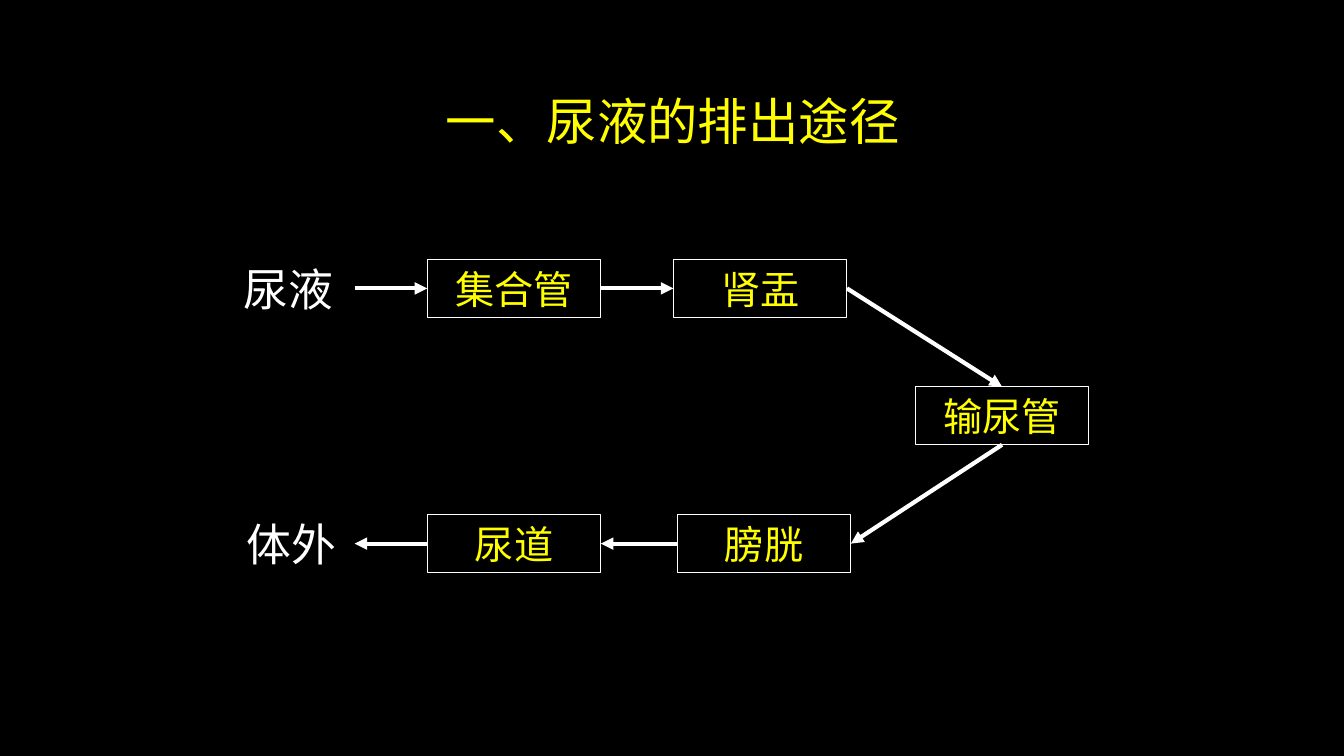
from lxml import etree
from pptx import Presentation
from pptx.dml.color import RGBColor
from pptx.enum.shapes import MSO_CONNECTOR, MSO_SHAPE
from pptx.enum.text import MSO_ANCHOR, MSO_AUTO_SIZE, PP_ALIGN
from pptx.oxml.ns import qn
from pptx.util import Pt

COLORS = {"background": "000000", "yellow": "FFFF00", "white": "FFFFFF"}
FONT = "Noto Sans CJK SC"
FRAME_FORMAT = {
    "word_wrap": True,
    "auto_size": MSO_AUTO_SIZE.NONE,
    "vertical_anchor": MSO_ANCHOR.MIDDLE,
}


def color(name):
    return RGBColor.from_string(COLORS[name])


def write(shape, wording, size, color_name):
    frame = shape.text_frame
    for attribute, value in FRAME_FORMAT.items():
        setattr(frame, attribute, value)
    paragraph = frame.paragraphs[0]
    paragraph.alignment = PP_ALIGN.CENTER
    run = paragraph.add_run()
    run.text = wording
    for attribute, value in {"name": FONT, "size": Pt(size)}.items():
        setattr(run.font, attribute, value)
    run.font.color.rgb = color(color_name)
    east_asian = etree.SubElement(run.font._element, qn("a:ea"))
    east_asian.set("typeface", FONT)


presentation = Presentation()
presentation.slide_width = Pt(960)
presentation.slide_height = Pt(540)
slide = presentation.slides.add_slide(presentation.slide_layouts[6])
slide.background.fill.solid()
slide.background.fill.fore_color.rgb = color("background")
shapes = slide.shapes

title = shapes.add_textbox(Pt(150), Pt(52), Pt(661), Pt(68))
write(title, "一、尿液的排出途径", 36, "yellow")

upper, middle, lower = 206, 297, 388.3
organ_width, organ_height = 124, 41.4
duct, pelvis, ureter, bladder = 305.2, 481, 653.8, 483.8
outer_end = 253.3

organs = [
    ("集合管", duct, upper),
    ("肾盂", pelvis, upper),
    ("输尿管", ureter, middle),
    ("膀胱", bladder, lower),
    ("尿道", duct, lower),
]
for wording, left, center in organs:
    organ = shapes.add_shape(
        MSO_SHAPE.RECTANGLE,
        Pt(left), Pt(center - organ_height / 2), Pt(organ_width), Pt(organ_height),
    )
    organ.shadow.inherit = False
    organ.fill.background()
    organ.line.color.rgb = color("white")
    organ.line.width = Pt(0.75)
    write(organ, wording, 28, "yellow")

for wording, left, center in [("尿液", 159, upper), ("体外", 161.3, lower)]:
    endpoint = shapes.add_textbox(Pt(left), Pt(center - 23), Pt(94), Pt(46))
    write(endpoint, wording, 32, "white")

ureter_center = ureter + organ_width / 2
flows = [
    (outer_end, upper, duct, upper),
    (duct + organ_width, upper, pelvis, upper),
    (pelvis + organ_width, upper, ureter_center, middle - organ_height / 2),
    (ureter_center, middle + organ_height / 2, bladder + organ_width, lower),
    (bladder, lower, duct + organ_width, lower),
    (duct, lower, outer_end, lower),
]
for flow in flows:
    arrow = shapes.add_connector(MSO_CONNECTOR.STRAIGHT, *map(Pt, flow))
    arrow.line.color.rgb = color("white")
    arrow.line.width = Pt(3)
    etree.SubElement(arrow.line._get_or_add_ln(), qn("a:tailEnd")).set("type", "triangle")
    etree.SubElement(arrow._element.spPr, qn("a:effectLst"))

presentation.save("out.pptx")
